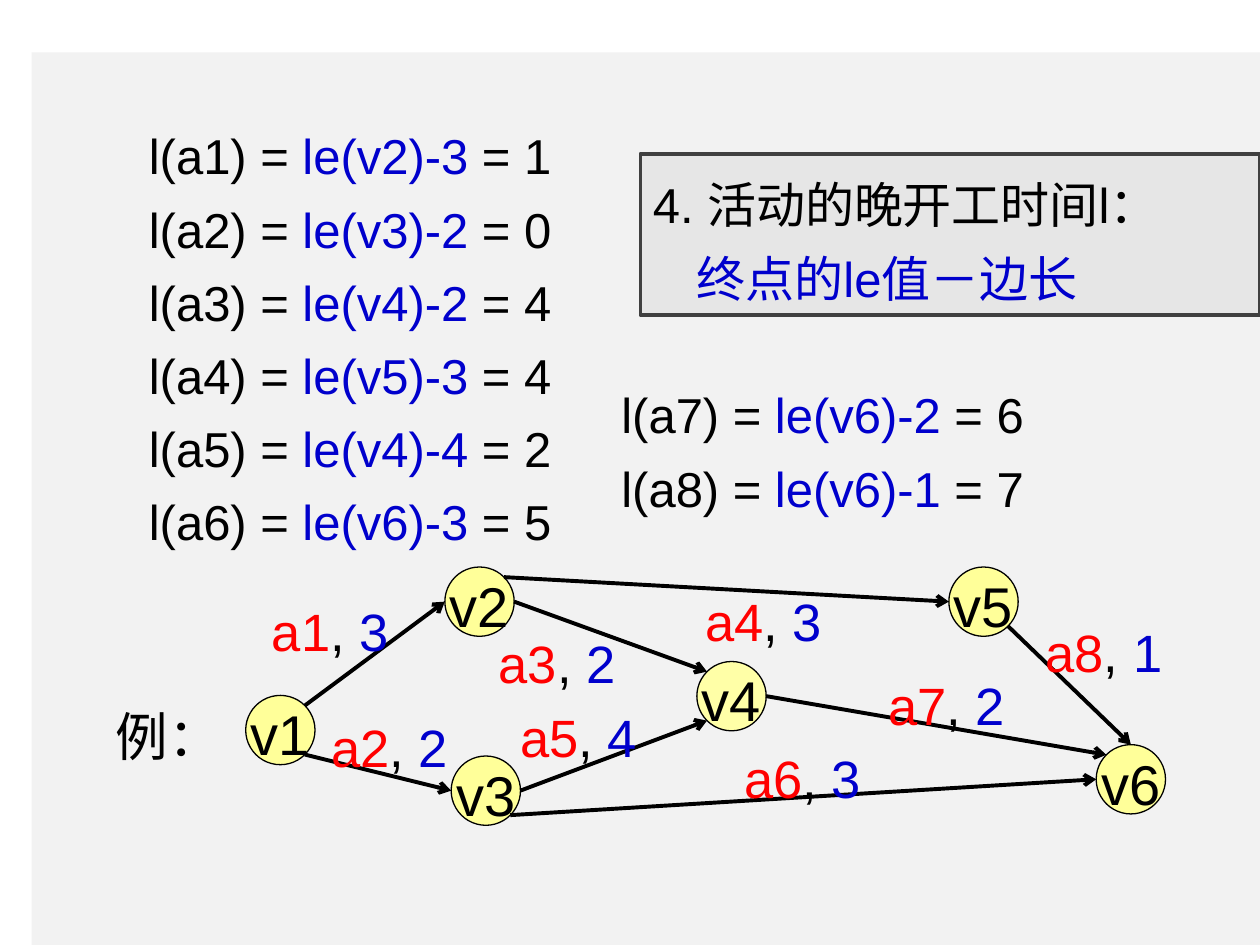
from math import cos, radians, sin

from lxml import etree
from pptx import Presentation
from pptx.dml.color import RGBColor
from pptx.enum.shapes import MSO_CONNECTOR, MSO_SHAPE
from pptx.enum.text import MSO_ANCHOR, MSO_AUTO_SIZE, PP_ALIGN
from pptx.oxml.ns import qn
from pptx.util import Pt

RECT, OVAL = MSO_SHAPE.RECTANGLE, MSO_SHAPE.OVAL
STRAIGHT = MSO_CONNECTOR.STRAIGHT
TOP, MIDDLE = MSO_ANCHOR.TOP, MSO_ANCHOR.MIDDLE
LEFT, CENTER = PP_ALIGN.LEFT, PP_ALIGN.CENTER
GROW = MSO_AUTO_SIZE.SHAPE_TO_FIT_TEXT

BLACK = RGBColor(0, 0, 0)
BLUE = RGBColor(0x00, 0x00, 0xCC)
RED = RGBColor(0xFF, 0x00, 0x00)
YELLOW = RGBColor(0xFF, 0xFF, 0x99)
PALE_YELLOW = RGBColor(0xFF, 0xFF, 0xA7)
PANEL = RGBColor(0xF2, 0xF2, 0xF2)
BOX_FILL = RGBColor(0xE6, 0xE6, 0xE6)
BOX_LINE = RGBColor(0x40, 0x40, 0x40)

DIAMETER = 39.6
ROW_STEP = 41.8
EAST, NORTH_EAST, NORTH, NORTH_WEST = 0, 45, 90, 135
WEST, SOUTH_WEST, SOUTH_EAST = 180, 225, 315

NODES = {
    "v1": (140.4, 397.4),
    "v2": (254.2, 324),
    "v3": (257.8, 432),
    "v4": (398.2, 378),
    "v5": (542.2, 324),
    "v6": (626.4, 425.5),
}
EDGES = [
    ("a1", 3, "v1", NORTH_EAST, "v2", WEST, 148.3, 329.8),
    ("a2", 2, "v1", SOUTH_EAST, "v3", WEST, 182.2, 396),
    ("a3", 2, "v2", EAST, "v4", NORTH_WEST, 277.9, 347.8),
    ("a4", 3, "v2", NORTH_EAST, "v5", WEST, 396, 324),
    ("a5", 4, "v3", EAST, "v4", SOUTH_WEST, 290.2, 390.2),
    ("a6", 3, "v3", SOUTH_EAST, "v6", WEST, 418.3, 414),
    ("a7", 2, "v4", EAST, "v6", NORTH_WEST, 500.4, 372.2),
    ("a8", 1, "v5", SOUTH_EAST, "v6", NORTH, 590.4, 342),
]
LATEST_STARTS = [
    ("a1", "v2", 3, 1), ("a2", "v3", 2, 0), ("a3", "v4", 2, 4),
    ("a4", "v5", 3, 4), ("a5", "v4", 4, 2), ("a6", "v6", 3, 5),
    ("a7", "v6", 2, 6), ("a8", "v6", 1, 7),
]


def write_paragraph(p, runs, size=28, spacing=1.25, align=LEFT):
    """Fill a paragraph with (text, colour) runs in one format."""
    p.alignment = align
    p.line_spacing = spacing
    for text, color in runs:
        r = p.add_run()
        r.text = text
        r.font.name = "Arial"
        r.font.size = Pt(size)
        r.font.color.rgb = color


def rim_point(node, angle):
    """Return the point on a node's circle at an angle in degrees."""
    x, y = NODES[node]
    radius = DIAMETER / 2
    return (x + radius + radius * cos(radians(angle)),
            y + radius - radius * sin(radians(angle)))


class SlideBuilder:
    """Draw styled elements on the current slide, in points."""

    def __init__(self, slide):
        self.shapes = slide.shapes

    def shape(self, kind, x, y, w, h, fill, line=None, width=0.75):
        """Add a filled preset shape with an optional outline."""
        sp = self.shapes.add_shape(kind, Pt(x), Pt(y), Pt(w), Pt(h))
        sp.shadow.inherit = False
        sp.fill.solid()
        sp.fill.fore_color.rgb = fill
        if line is None:
            sp.line.fill.background()
        else:
            sp.line.color.rgb = line
            sp.line.width = Pt(width)
        return sp

    def text(self, x, y, w, h, runs, size=28, wrap=False):
        """Add a one-paragraph text box."""
        tf = self.shapes.add_textbox(Pt(x), Pt(y), Pt(w), Pt(h)).text_frame
        tf.word_wrap = wrap
        tf.auto_size = GROW
        write_paragraph(tf.paragraphs[0], runs, size=size)

    def heading(self, x, y, w, h, first, second):
        """Add the outlined box with a heading and an indented rule."""
        sp = self.shape(RECT, x, y, w, h, BOX_FILL, BOX_LINE, 2.25)
        tf = sp.text_frame
        tf.word_wrap = True
        tf.auto_size = GROW
        tf.vertical_anchor = TOP
        write_paragraph(tf.paragraphs[0], [(first, BLACK)])
        p = tf.add_paragraph()
        p._p.get_or_add_pPr().set("marL", str(Pt(25)))
        write_paragraph(p, [(second, BLUE)])

    def node(self, name, x, y, fill):
        """Add a named vertex."""
        sp = self.shape(OVAL, x, y, DIAMETER, DIAMETER, fill, BLACK)
        tf = sp.text_frame
        tf.word_wrap = False
        tf.vertical_anchor = MIDDLE
        write_paragraph(tf.paragraphs[0], [(name, BLACK)],
                        size=32, spacing=1.1, align=CENTER)

    def arrow(self, start, end):
        """Add an arrow between two points."""
        cxn = self.shapes.add_connector(
            STRAIGHT, *(Pt(v) for v in (*start, *end)))
        cxn.line.color.rgb = BLACK
        cxn.line.width = Pt(2.25)
        spPr = cxn._element.spPr
        etree.SubElement(spPr.find(qn("a:ln")), qn("a:tailEnd"), type="arrow")
        etree.SubElement(spPr, qn("a:effectLst"))


def main():
    """Build the latest-start-time slide."""
    prs = Presentation()
    prs.slide_width, prs.slide_height = Pt(720), Pt(540)
    s = SlideBuilder(prs.slides.add_slide(prs.slide_layouts[6]))

    s.shape(RECT, 18, 30, 702, 510, PANEL)
    s.heading(366, 88, 354, 92, "4. 活动的晚开工时间l：", "终点的le值－边长")

    for i, (name, target, length, result) in enumerate(LATEST_STARTS):
        x, y = (78, 60 + i * ROW_STEP) if i < 6 else (348, 208 + (i - 6) * ROW_STEP)
        s.text(x, y, 247.7, 49.7, [
            (f"l({name}) = ", BLACK),
            (f"le({target})-{length} ", BLUE),
            (f"= {result}", BLACK),
        ])

    for name, (x, y) in NODES.items():
        s.node(name, x, y, PALE_YELLOW if name == "v4" else YELLOW)

    for name, length, source, leave, target, enter, x, y in EDGES:
        s.arrow(rim_point(source, leave), rim_point(target, enter))
        s.text(x, y, 82, 52.6,
               [(name, RED), (", ", BLACK), (str(length), BLUE)], size=30)

    s.text(59, 390, 75, 48, [("例：", BLACK)], size=30, wrap=True)
    prs.save("out.pptx")


if __name__ == "__main__":
    main()
